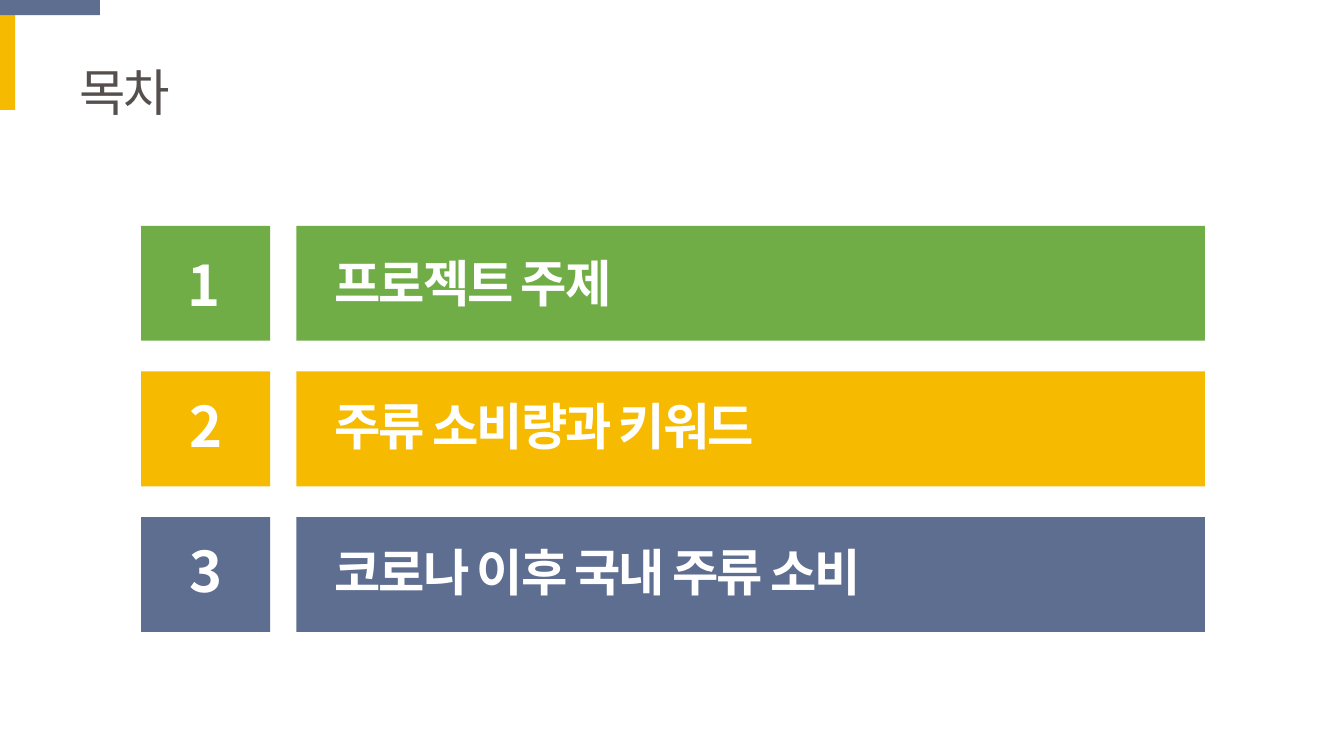
"""Build a table-of-contents slide with three numbered, coloured rows."""
from dataclasses import dataclass

from lxml import etree
from pptx import Presentation
from pptx.dml.color import RGBColor
from pptx.enum.shapes import MSO_SHAPE
from pptx.enum.text import MSO_ANCHOR, MSO_AUTO_SIZE, PP_ALIGN
from pptx.oxml.ns import qn
from pptx.shapes.base import BaseShape
from pptx.slide import Slide
from pptx.util import Inches, Pt

RECT = MSO_SHAPE.RECTANGLE
TOP = MSO_ANCHOR.TOP
FIT = MSO_AUTO_SIZE.SHAPE_TO_FIT_TEXT
LEFT, CENTER = PP_ALIGN.LEFT, PP_ALIGN.CENTER


@dataclass(frozen=True)
class Theme:
    green: str = "70AD47"
    yellow: str = "F6BB00"
    blue: str = "5E6E90"
    ink: str = "554F4D"
    white: str = "FFFFFF"
    font: str = "Noto Sans CJK KR"
    label_font: str = "Arial"
    text_size: int = 36
    number_size: int = 40
    tracking: float = -1.5


@dataclass(frozen=True)
class Box:
    left: float
    top: float
    width: float
    height: float


@dataclass(frozen=True)
class TextStyle:
    font: str
    size: int
    color: str
    bold: bool = False
    align: PP_ALIGN = LEFT
    tracking: float = 0


@dataclass(frozen=True)
class Entry:
    label: str
    color: str
    label_width: float
    number_left: float
    number_drop: float
    label_drop: float


THEME = Theme()
TITLE = TextStyle(THEME.font, THEME.text_size, THEME.ink, tracking=THEME.tracking)
NUMBER = TextStyle(THEME.font, THEME.number_size, THEME.white, True, CENTER)
LABEL = TextStyle(THEME.label_font, THEME.text_size, THEME.white, True,
                  tracking=THEME.tracking)

ENTRIES = (
    Entry("프로젝트 주제", THEME.green, 3.26, 1.76, 0.20, 0.21),
    Entry("주류 소비량과 키워드", THEME.yellow, 5.02, 1.78, 0.15, 0.19),
    Entry("코로나 이후 국내 주류 소비", THEME.blue, 6.15, 1.78, 0.14, 0.19),
)
FIRST_TOP, ROW_PITCH, ROW_HEIGHT = 2.24, 1.445, 1.14


def place(s: BaseShape, box: Box) -> None:
    """Move and size a shape."""
    s.left, s.top = Inches(box.left), Inches(box.top)
    s.width, s.height = Inches(box.width), Inches(box.height)


def add_block(slide: Slide, box: Box, color: str) -> None:
    """Draw a flat filled rectangle."""
    s = slide.shapes.add_shape(RECT, Inches(box.left), Inches(box.top),
                               Inches(box.width), Inches(box.height))
    s.shadow.inherit = False
    s.fill.solid()
    s.fill.fore_color.rgb = RGBColor.from_string(color)
    s.line.fill.background()


def write(s: BaseShape, box: Box, text: str, style: TextStyle) -> None:
    """Place a text shape and set its one styled line."""
    tf = s.text_frame
    tf.text = text
    tf.word_wrap = False
    tf.auto_size = FIT
    tf.vertical_anchor = TOP
    p = tf.paragraphs[0]
    p.alignment = style.align
    p.line_spacing = 1.0
    p.font.name = style.font
    p.font.size = Pt(style.size)
    p.font.bold = style.bold
    p.font.color.rgb = RGBColor.from_string(style.color)
    for r in p.runs:
        props = r._r.get_or_add_rPr()
        props.set("spc", str(int(style.tracking * 100)))
        etree.SubElement(props, qn("a:ea"), typeface=THEME.font)
    place(s, box)


def add_text(slide: Slide, box: Box, text: str, style: TextStyle) -> None:
    """Add a text box with one styled line."""
    write(slide.shapes.add_textbox(0, 0, 0, 0), box, text, style)


def add_entry(slide: Slide, index: int, entry: Entry) -> None:
    """Draw one numbered row of the contents."""
    top = FIRST_TOP + index * ROW_PITCH
    add_block(slide, Box(1.4, top, 1.28, ROW_HEIGHT), entry.color)
    add_block(slide, Box(2.94, top, 9.01, ROW_HEIGHT), entry.color)
    add_text(slide, Box(entry.number_left, top + entry.number_drop, 0.52, 0.77),
             str(index + 1), NUMBER)
    add_text(slide, Box(3.22, top + entry.label_drop, entry.label_width, 0.71),
             entry.label, LABEL)


def main() -> None:
    """Build and save the slide."""
    prs = Presentation()
    prs.slide_width, prs.slide_height = Inches(13.33), Inches(7.5)
    slide = prs.slides.add_slide(prs.slide_layouts[5])
    add_block(slide, Box(0, 0.1, 0.15, 0.99), THEME.yellow)
    add_block(slide, Box(0, 0, 0.99, 0.15), THEME.blue)
    write(slide.shapes.title, Box(0.69, 0.56, 1.17, 0.71), "목차", TITLE)
    for index, entry in enumerate(ENTRIES):
        add_entry(slide, index, entry)
    prs.save("out.pptx")


if __name__ == "__main__":
    main()
